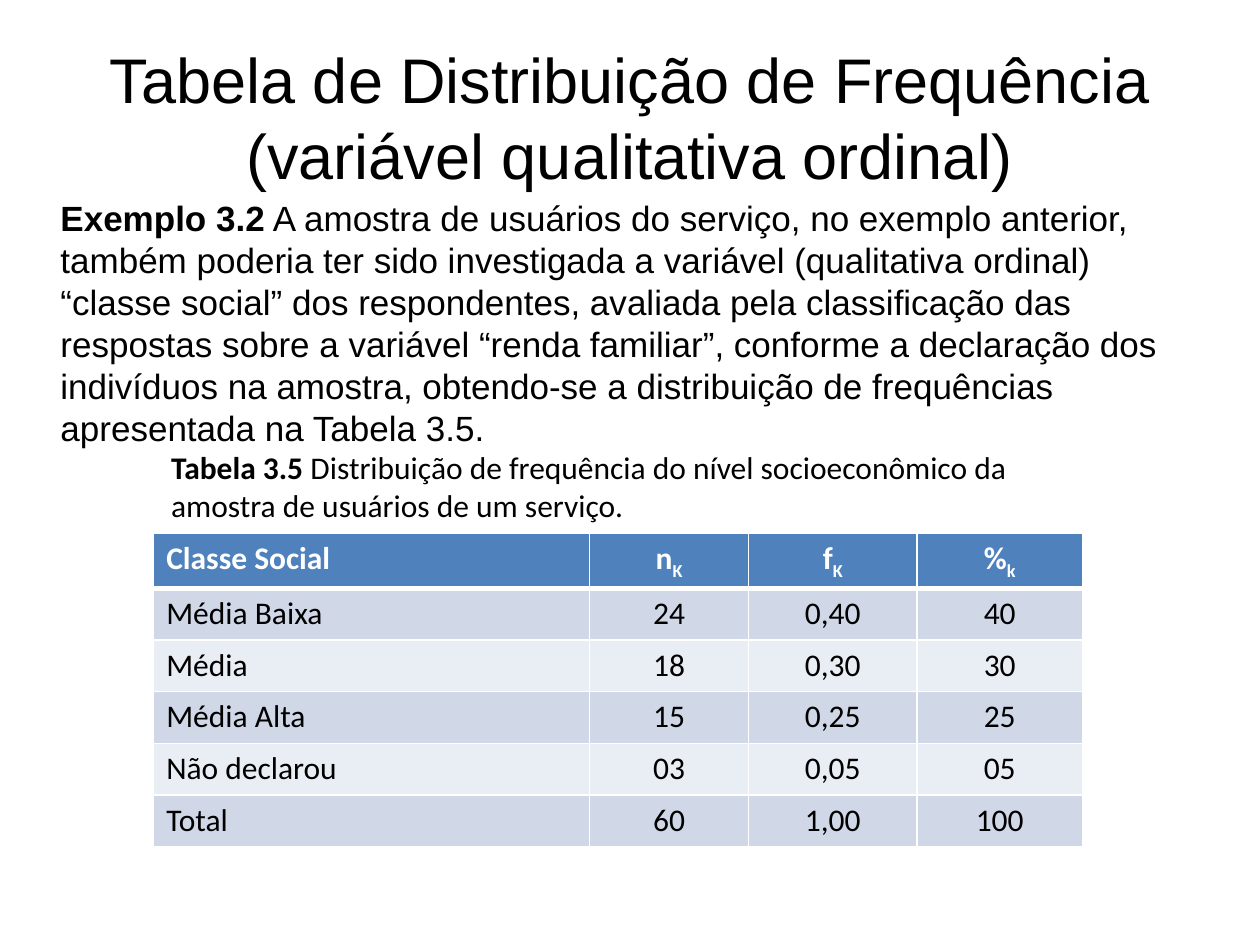
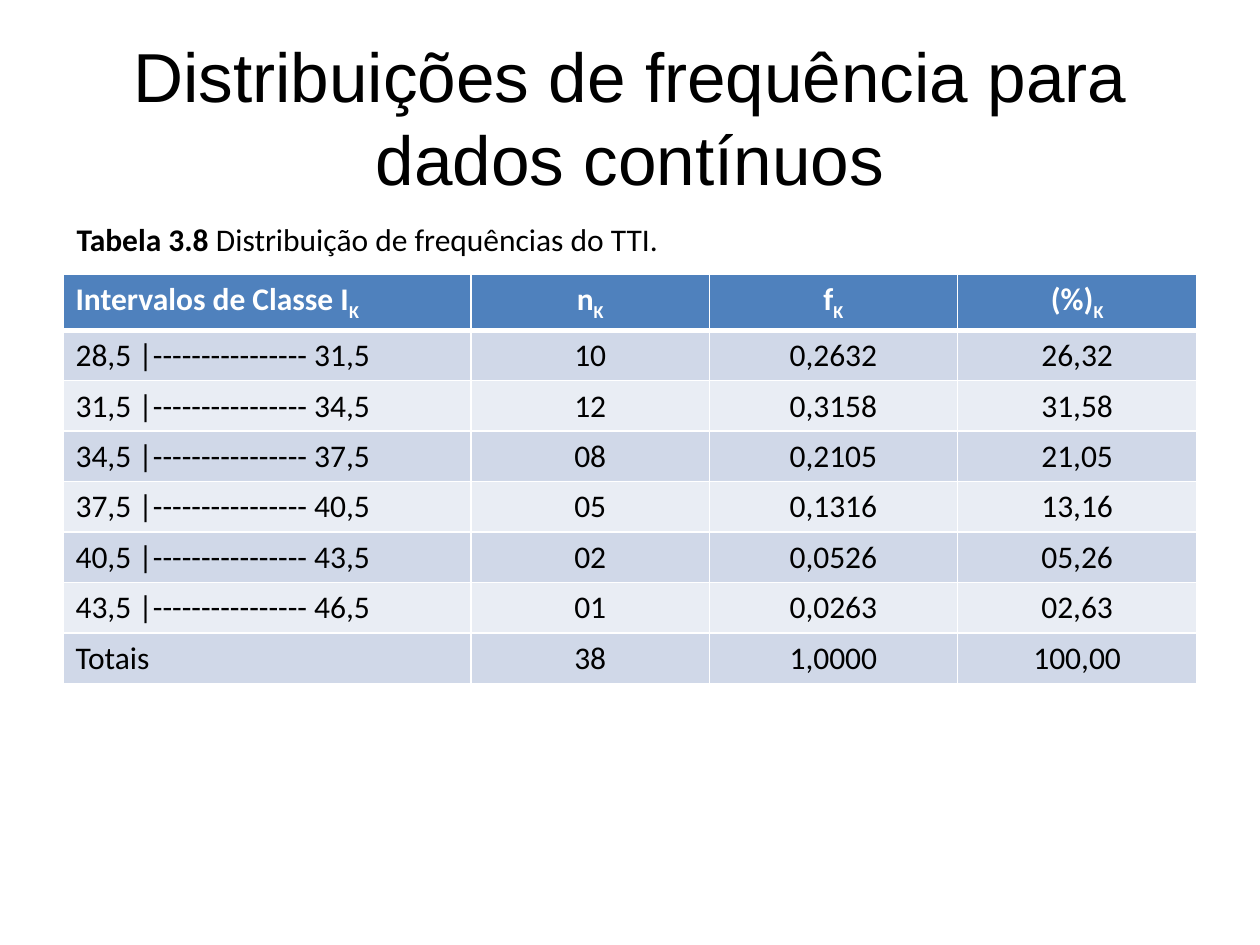
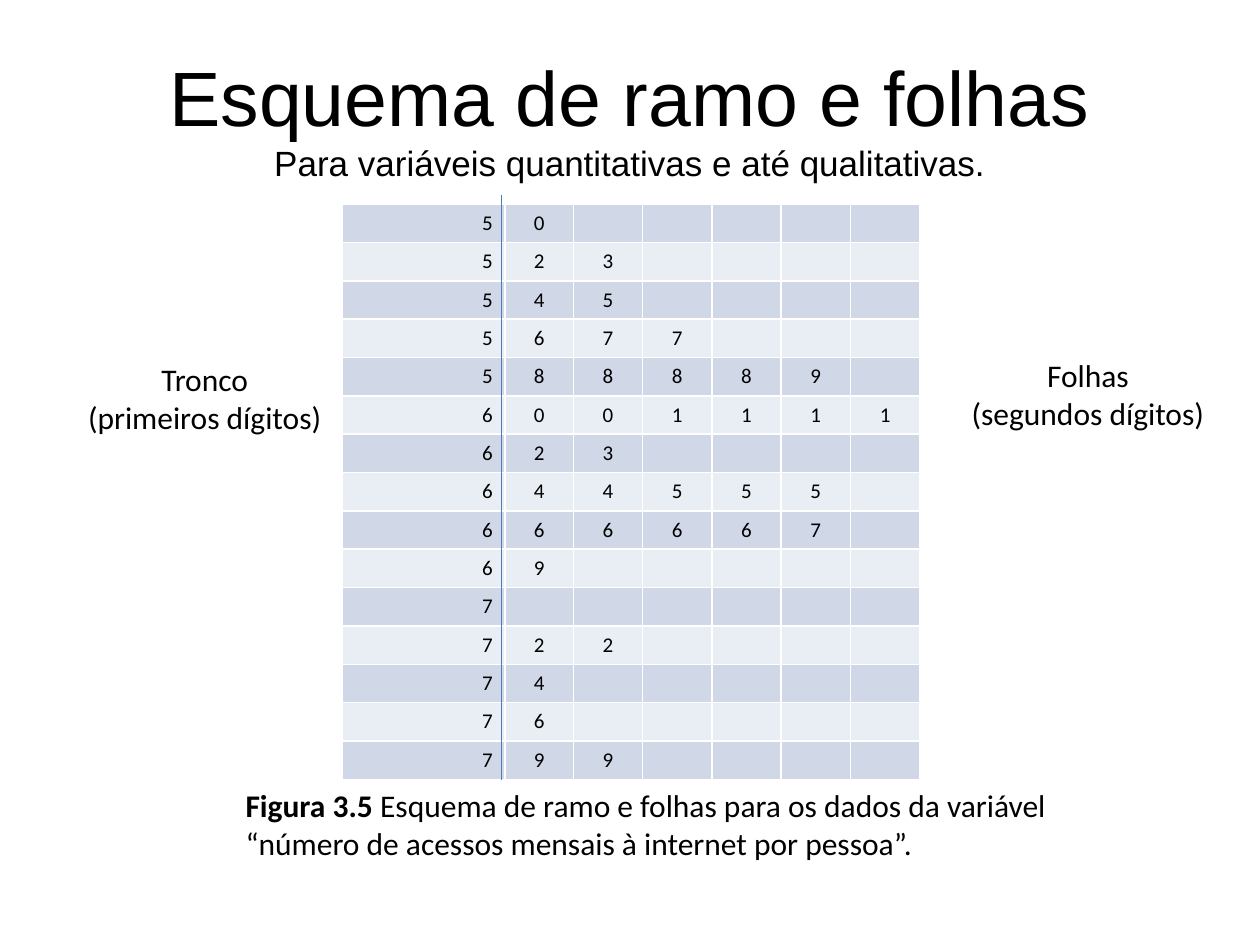
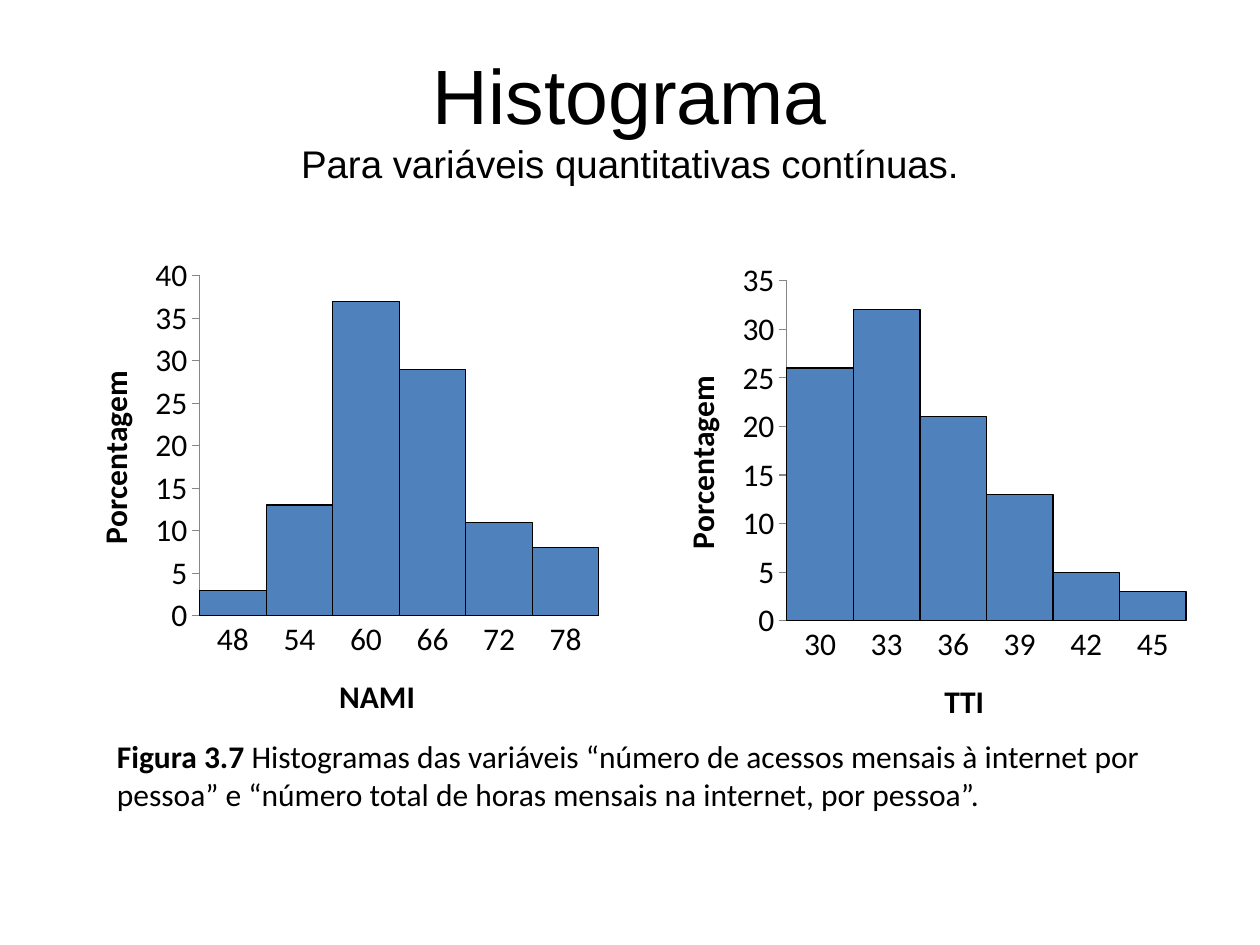
from pptx import Presentation
from pptx.chart.data import CategoryChartData
from pptx.dml.color import RGBColor
from pptx.enum.chart import XL_CHART_TYPE as ChartType, XL_TICK_MARK as TickMark
from pptx.enum.shapes import MSO_CONNECTOR as Connector
from pptx.enum.text import MSO_ANCHOR as Anchor, MSO_AUTO_SIZE as AutoSize, PP_ALIGN as Align
from pptx.oxml import parse_xml
from pptx.oxml.ns import nsdecls
from pptx.util import Inches, Pt

COLORS = {
    "text": "000000", "white": "FFFFFF", "header": "4F81BD", "band": "D0D8E8",
    "light_band": "E9EDF4", "divider": "4B7EBC", "axis": "868686",
}
TITLE_FONT, BODY_FONT = "Arial", "Calibri"
TITLE_BOX = (0.5, 0.3, 9, 1.25)

ORDINAL_TITLE = "Tabela de Distribuição de Frequência (variável qualitativa ordinal)"
ORDINAL_EXAMPLE = [
    ("Exemplo 3.2", True),
    (" A amostra de usuários do serviço, no exemplo anterior, também poderia ter sido "
     "investigada a variável (qualitativa ordinal) “classe social” dos respondentes, avaliada "
     "pela classificação das respostas sobre a variável “renda familiar”, conforme a declaração "
     "dos indivíduos na amostra, obtendo-se a distribuição de frequências apresentada na "
     "Tabela 3.5.", False),
]
ORDINAL_CAPTION = [
    [("Tabela 3.5 ", True), ("Distribuição de frequência do nível socioeconômico da", False)],
    [("amostra de usuários de um serviço.", False)],
]
ORDINAL_HEADER = [("Classe Social", ""), ("n", "K"), ("f", "K"), ("%", "k")]
ORDINAL_ROWS = [
    ("Média Baixa", "24", "0,40", "40"),
    ("Média", "18", "0,30", "30"),
    ("Média Alta", "15", "0,25", "25"),
    ("Não declarou", "03", "0,05", "05"),
    ("Total", "60", "1,00", "100"),
]

CONTINUOUS_TITLE = "Distribuições de frequência para dados contínuos"
CONTINUOUS_CAPTION = [[("Tabela 3.8 ", True), ("Distribuição de frequências do TTI.", False)]]
CONTINUOUS_HEADER = [("Intervalos de Classe I", "K"), ("n", "K"), ("f", "K"), ("(%)", "K")]
CONTINUOUS_ROWS = [
    ("28,5 |---------------- 31,5", "10", "0,2632", "26,32"),
    ("31,5 |---------------- 34,5", "12", "0,3158", "31,58"),
    ("34,5 |---------------- 37,5", "08", "0,2105", "21,05"),
    ("37,5 |---------------- 40,5", "05", "0,1316", "13,16"),
    ("40,5 |---------------- 43,5", "02", "0,0526", "05,26"),
    ("43,5 |---------------- 46,5", "01", "0,0263", "02,63"),
    ("Totais", "38", "1,0000", "100,00"),
]

STEM_TITLE = ("Esquema de ramo e folhas", "Para variáveis quantitativas e até qualitativas.")
STEM_LEAVES = [
    ("5", "0"), ("5", "23"), ("5", "45"), ("5", "677"), ("5", "88889"),
    ("6", "001111"), ("6", "23"), ("6", "44555"), ("6", "66667"), ("6", "9"),
    ("7", ""), ("7", "22"), ("7", "4"), ("7", "6"), ("7", "99"),
]
LEAF_COLUMNS = max(len(leaves) for stem, leaves in STEM_LEAVES)
STEM_CAPTION = [
    [("Figura 3.5", True), (" Esquema de ramo e folhas para os dados da variável", False)],
    [("“número de acessos mensais à internet por pessoa”.", False)],
]
STEM_LABELS = [
    ((0.59, 2.81, 2.07, 0.71), ("Tronco", "(primeiros dígitos)")),
    ((7.6, 2.78, 2.07, 0.71), ("Folhas", "(segundos dígitos)")),
]

HISTOGRAM_TITLE = ("Histograma", "Para variáveis quantitativas contínuas.")
HISTOGRAMS = [
    {"box": (0.5, 1.95, 4.34, 3.97), "variable": "NAMI", "maximum": 40,
     "midpoints": range(48, 79, 6), "percentages": (3, 13, 37, 29, 11, 8)},
    {"box": (5.16, 1.99, 4.34, 3.97), "variable": "TTI", "maximum": 35,
     "midpoints": range(30, 46, 3), "percentages": (26, 32, 21, 13, 5, 3)},
]
HISTOGRAM_CAPTION = [[
    ("Figura 3.7", True),
    (" Histogramas das variáveis “número de acessos mensais à internet por pessoa” e "
     "“número total de horas mensais na internet, por pessoa”.", False),
]]
PLOT_LAYOUT = {"x": 0.25, "y": 0.06, "w": 0.73, "h": 0.68}


def color(name):
    return RGBColor.from_string(COLORS[name])


def set_font(font, size, name=BODY_FONT, bold=False, color_name="text"):
    for attribute, value in {"size": Pt(size), "name": name, "bold": bold}.items():
        setattr(font, attribute, value)
    font.color.rgb = color(color_name)


def add_run(paragraph, text, size, **style):
    run = paragraph.add_run()
    run.text = text
    set_font(run.font, size, **style)
    return run


def add_text(slide, box, paragraphs, size=18, name=BODY_FONT, align=Align.LEFT, wrap=True):
    frame = slide.shapes.add_textbox(*map(Inches, box)).text_frame
    frame.word_wrap = wrap
    frame.auto_size = AutoSize.NONE if wrap else AutoSize.SHAPE_TO_FIT_TEXT
    for index, runs in enumerate(paragraphs):
        paragraph = frame.add_paragraph() if index else frame.paragraphs[0]
        paragraph.alignment = align
        for text, bold in runs:
            add_run(paragraph, text, size, name=name, bold=bold)
    return frame


def add_title(slide, title, size, subtitle=None, subtitle_size=None):
    frame = add_text(slide, TITLE_BOX, [[(title, False)]], size, TITLE_FONT, Align.CENTER)
    frame.vertical_anchor = Anchor.MIDDLE
    if subtitle:
        paragraph = frame.paragraphs[0]
        paragraph.add_line_break()
        add_run(paragraph, subtitle, subtitle_size, name=TITLE_FONT)


def style_cell(cell, fill_name, bottom_width=1):
    cell.fill.solid()
    cell.fill.fore_color.rgb = color(fill_name)
    properties = cell._tc.get_or_add_tcPr()
    widths = {"lnL": 1, "lnR": 1, "lnT": 1, "lnB": bottom_width}
    for position, (side, width) in enumerate(widths.items()):
        properties.insert(position, parse_xml(
            f'<a:{side} {nsdecls("a")} w="{Pt(width)}"><a:solidFill>'
            f'<a:srgbClr val="{COLORS["white"]}"/></a:solidFill></a:{side}>'))


def add_grid(slide, left, top, columns, row_height, rows, size, first_align, header=None):
    row_count = len(rows) + bool(header)
    table = slide.shapes.add_table(
        row_count, len(columns), Inches(left), Inches(top),
        Inches(sum(columns)), Inches(row_height * row_count)).table
    table.first_row = bool(header)
    for column, width in zip(table.columns, columns):
        column.width = Inches(width)
    for row in table.rows:
        row.height = Inches(row_height)
    for index, (text, subscript) in enumerate(header or []):
        cell = table.cell(0, index)
        style_cell(cell, "header", 3)
        paragraph = cell.text_frame.paragraphs[0]
        paragraph.alignment = Align.CENTER if index else first_align
        add_run(paragraph, text, size, bold=True, color_name="white")
        if subscript:
            run = add_run(paragraph, subscript, size, bold=True, color_name="white")
            run.font._element.set("baseline", "-25000")
    for row_index, values in enumerate(rows):
        for index, text in enumerate(values):
            cell = table.cell(row_index + bool(header), index)
            style_cell(cell, "light_band" if row_index % 2 else "band")
            paragraph = cell.text_frame.paragraphs[0]
            paragraph.alignment = Align.CENTER if index else first_align
            if text:
                add_run(paragraph, text, size)
            else:
                paragraph._p.get_or_add_endParaRPr().set("sz", str(size * 100))


def add_histogram(slide, box, variable, maximum, midpoints, percentages):
    data = CategoryChartData()
    data.categories = [str(midpoint) for midpoint in midpoints]
    data.add_series("Series 1", percentages)
    chart = slide.shapes.add_chart(ChartType.COLUMN_CLUSTERED, *map(Inches, box), data).chart
    chart.has_legend = chart.has_title = False
    set_font(chart.font, 18)
    plot = chart.plots[0]
    plot.gap_width = 0
    plot.vary_by_categories = False
    bars = plot.series[0].format
    bars.fill.solid()
    bars.fill.fore_color.rgb = color("header")
    bars.line.color.rgb = color("text")
    bars.line.width = Pt(0.75)
    axes = [(chart.category_axis, variable, TickMark.NONE),
            (chart.value_axis, "Porcentagem", TickMark.OUTSIDE)]
    for axis, title, tick in axes:
        axis.has_major_gridlines = False
        axis.major_tick_mark = tick
        axis.minor_tick_mark = TickMark.NONE
        axis.format.line.color.rgb = color("axis")
        add_run(axis.axis_title.text_frame.paragraphs[0], title, 18, bold=True)
    for attribute, value in {"minimum_scale": 0, "maximum_scale": maximum, "major_unit": 5}.items():
        setattr(chart.value_axis, attribute, value)
    area = chart._chartSpace.chart.plotArea
    for layout in area.findall("{*}layout"):
        area.remove(layout)
    places = "".join(f'<c:{key} val="{value}"/>' for key, value in PLOT_LAYOUT.items())
    area.insert(0, parse_xml(
        f'<c:layout {nsdecls("c")}><c:manualLayout><c:layoutTarget val="inner"/>'
        f'<c:xMode val="edge"/><c:yMode val="edge"/>{places}</c:manualLayout></c:layout>'))


def build_ordinal(slide):
    add_title(slide, ORDINAL_TITLE, 36)
    example = add_text(slide, (0, 1.51, 9.5, 2.16), [ORDINAL_EXAMPLE], 20, TITLE_FONT)
    example.margin_left = Inches(0.48)
    add_grid(slide, 1.22, 4.23, (3.46, 1.26, 1.34, 1.31), 0.41, ORDINAL_ROWS, 18,
             Align.LEFT, ORDINAL_HEADER)
    add_text(slide, (1.26, 3.51, 6.97, 0.71), ORDINAL_CAPTION, wrap=False)


def build_continuous(slide):
    add_title(slide, CONTINUOUS_TITLE, 39.6)
    add_grid(slide, 0.5, 2.18, (3.24, 1.89, 1.97, 1.9), 0.4, CONTINUOUS_ROWS, 18,
             Align.LEFT, CONTINUOUS_HEADER)
    add_text(slide, (0.51, 1.7, 8.9, 0.4), CONTINUOUS_CAPTION)


def build_stem(slide):
    title, subtitle = STEM_TITLE
    add_title(slide, title, 44, subtitle, 20)
    rows = [[stem, *leaves] + [""] * (LEAF_COLUMNS - len(leaves)) for stem, leaves in STEM_LEAVES]
    add_grid(slide, 2.72, 1.62, [1.29, 0.54] + [0.55] * (LEAF_COLUMNS - 1),
             4.57 / len(rows), rows, 12, Align.RIGHT)
    divider = slide.shapes.add_connector(
        Connector.STRAIGHT, *map(Inches, (3.98, 1.55, 3.98, 6.19)))
    divider.line.color.rgb = color("divider")
    divider.line.width = Pt(0.75)
    divider._element.spPr.append(parse_xml(f'<a:effectLst {nsdecls("a")}/>'))
    add_text(slide, (1.85, 6.19, 6.68, 0.71), STEM_CAPTION, wrap=False)
    for box, lines in STEM_LABELS:
        add_text(slide, box, [[(line, False)] for line in lines], align=Align.CENTER, wrap=False)


def build_histograms(slide):
    title, subtitle = HISTOGRAM_TITLE
    add_title(slide, title, 44, subtitle, 22)
    for histogram in HISTOGRAMS:
        add_histogram(slide, **histogram)
    add_text(slide, (0.83, 5.8, 8.5, 0.71), HISTOGRAM_CAPTION)


def main():
    presentation = Presentation()
    presentation.slide_width, presentation.slide_height = Inches(10), Inches(7.5)
    for build in (build_ordinal, build_continuous, build_stem, build_histograms):
        build(presentation.slides.add_slide(presentation.slide_layouts[6]))
    presentation.save("out.pptx")


if __name__ == "__main__":
    main()
